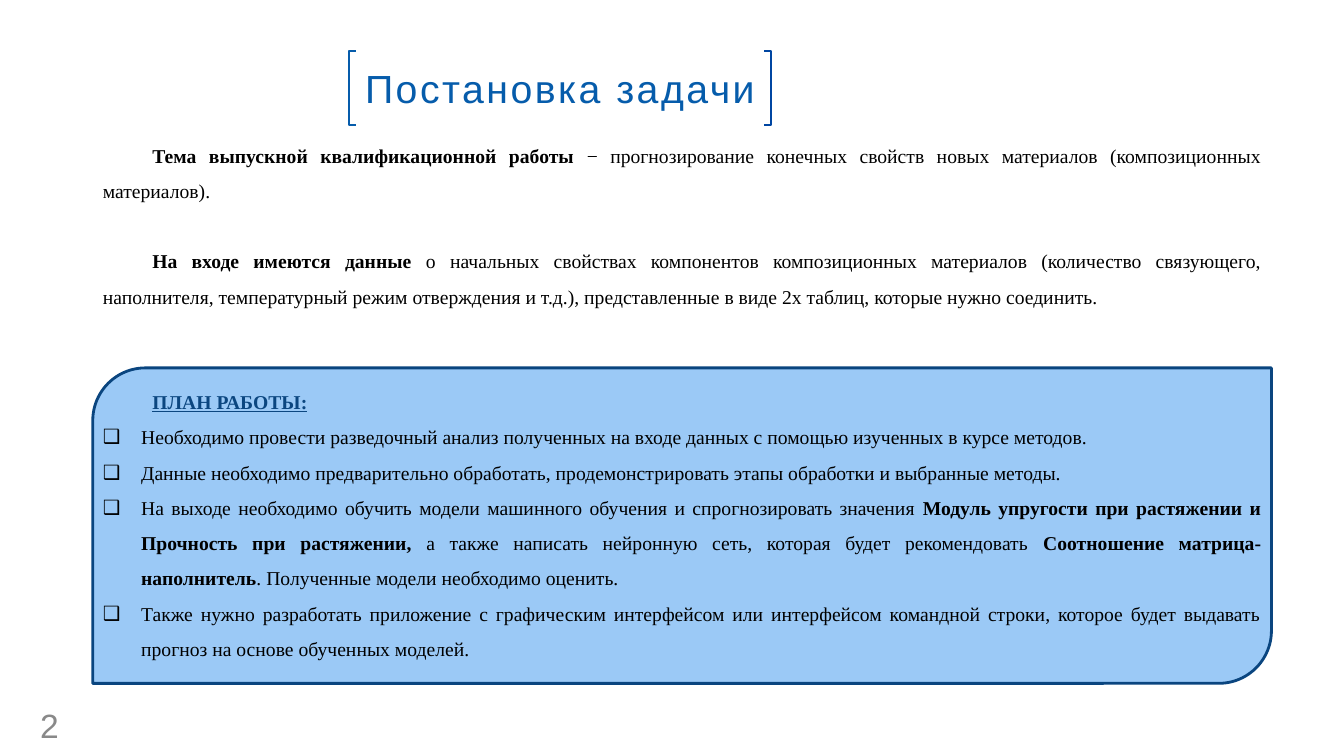
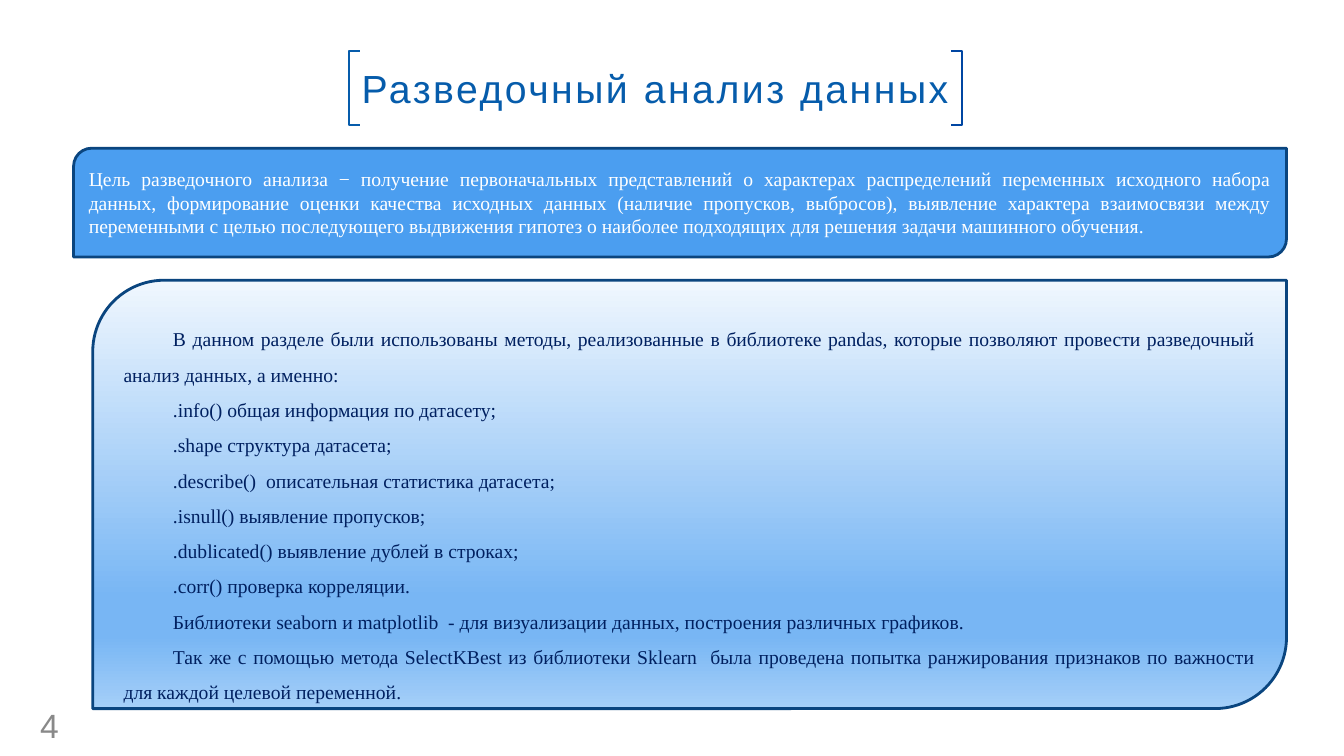
from lxml.etree import SubElement
from pptx import Presentation
from pptx.dml.color import RGBColor
from pptx.enum.shapes import MSO_SHAPE
from pptx.enum.text import MSO_ANCHOR as Anchor, MSO_AUTO_SIZE as AutoSize, PP_ALIGN as Align
from pptx.oxml.ns import qn
from pptx.util import Inches, Pt

WHITE = RGBColor(0xFF, 0xFF, 0xFF)
BLACK = RGBColor(0x00, 0x00, 0x00)
GREY = RGBColor(0x89, 0x89, 0x89)
TITLE_BLUE = RGBColor(0x06, 0x5C, 0xAB)
BRACKET_BLUE = RGBColor(0x00, 0x46, 0xA2)
BORDER_BLUE = RGBColor(0x0A, 0x45, 0x7F)
HEADING_BLUE = RGBColor(0x0B, 0x46, 0x80)
PALE_BLUE = RGBColor(0x9B, 0xC9, 0xF6)
BRIGHT_BLUE = RGBColor(0x4B, 0x9E, 0xF0)
NAVY = RGBColor(0x00, 0x20, 0x60)
GRADIENT = [
    (0, RGBColor(0xF0, 0xF7, 0xFE)),
    (74, RGBColor(0x78, 0xB6, 0xF4)),
    (83, RGBColor(0x78, 0xB6, 0xF4)),
    (100, RGBColor(0xA5, 0xCF, 0xF8)),
]

TITLE_FONT = "Arial"
TEXT_FONT = "Times New Roman"
TITLE_LEFT, TITLE_TOP, TITLE_HEIGHT = 3.46, 0.51, 0.73
FIRST_LINE = 0.49
BULLET_INDENT = 0.38
LINE_GAP = 25
TITLE_AND_BODY, TITLE_ONLY = 1, 5


class Deck:
    def __init__(self):
        self.presentation = Presentation()
        self.presentation.slide_width = Inches(13.33)
        self.presentation.slide_height = Inches(7.5)
        self.slide = None

    def add_slide(self, layout, title, title_width, bracket_depth, number):
        self.slide = self.presentation.slides.add_slide(
            self.presentation.slide_layouts[layout])
        self.title(title, title_width)
        title_right = TITLE_LEFT + title_width
        self.bracket(TITLE_LEFT, TITLE_LEFT + bracket_depth, TITLE_BLUE)
        self.bracket(title_right, title_right - bracket_depth, BRACKET_BLUE)
        self.slide_number(number)

    def place(self, shape, left, top, width, height):
        shape.left, shape.top = Inches(left), Inches(top)
        shape.width, shape.height = Inches(width), Inches(height)

    def run(self, paragraph, text, font, size, color, bold=False, underline=False):
        run = paragraph.add_run()
        run.text = text
        run.font.name = font
        run.font.size = Pt(size)
        run.font.color.rgb = color
        run.font.bold = bold
        run.font.underline = underline
        return run

    def title(self, text, width):
        shape = self.slide.shapes.title
        self.place(shape, TITLE_LEFT, TITLE_TOP, width, TITLE_HEIGHT)
        shape.fill.solid()
        shape.fill.fore_color.rgb = WHITE
        frame = shape.text_frame
        frame.auto_size = AutoSize.NONE
        frame.margin_left = frame.margin_right = 0
        frame.vertical_anchor = Anchor.MIDDLE
        paragraph = frame.paragraphs[0]
        paragraph.alignment = Align.CENTER
        run = self.run(paragraph, text, TITLE_FONT, 28, TITLE_BLUE)
        properties = run._r.get_or_add_rPr()
        properties.set("spc", "180")
        outline = SubElement(properties, qn("a:ln"), w=str(Pt(0.75)))
        fill = SubElement(outline, qn("a:solidFill"))
        SubElement(fill, qn("a:srgbClr"), val=str(TITLE_BLUE))
        properties.insert(0, outline)

    def bracket(self, outer, inner, color):
        bottom = TITLE_TOP + TITLE_HEIGHT
        corners = [(outer, TITLE_TOP), (outer, bottom), (inner, bottom)]
        builder = self.slide.shapes.build_freeform(Inches(inner), Inches(TITLE_TOP))
        builder.add_line_segments(
            [(Inches(x), Inches(y)) for x, y in corners], close=False)
        shape = builder.convert_to_shape()
        shape.shadow.inherit = False
        shape.fill.background()
        shape.line.color.rgb = color
        shape.line.width = Pt(1.3)

    def slide_number(self, number):
        box = self.slide.shapes.add_textbox(
            Inches(0.3), Inches(7.04), Inches(0.62), Inches(0.3))
        frame = box.text_frame
        frame.word_wrap = True
        frame.vertical_anchor = Anchor.MIDDLE
        self.run(frame.paragraphs[0], str(number), TITLE_FONT, 24, GREY)

    def panel(self, left, top, width, height, color=None):
        shape = self.slide.shapes.add_shape(
            MSO_SHAPE.ROUND_2_DIAG_RECTANGLE,
            Inches(left), Inches(top), Inches(width), Inches(height))
        shape.shadow.inherit = False
        shape.line.color.rgb = BORDER_BLUE
        shape.line.width = Pt(2)
        if color is None:
            self.gradient(shape)
        else:
            shape.fill.solid()
            shape.fill.fore_color.rgb = color
        shape.text_frame.vertical_anchor = Anchor.MIDDLE
        return shape.text_frame

    def gradient(self, shape):
        shape.fill.gradient()
        shape.fill.gradient_angle = 270
        stops = shape._element.spPr.find(qn("a:gradFill")).find(qn("a:gsLst"))
        for stop in list(stops):
            stops.remove(stop)
        for position, color in GRADIENT:
            stop = SubElement(stops, qn("a:gs"), pos=str(position * 1000))
            SubElement(stop, qn("a:srgbClr"), val=str(color))

    def body(self, left, top, width, height):
        shape = self.slide.placeholders[1]
        self.place(shape, left, top, width, height)
        self.slide.shapes._spTree.append(shape._element)
        shape.text_frame.auto_size = AutoSize.NONE
        shape.text_frame.vertical_anchor = Anchor.TOP
        return shape.text_frame

    def text(self, frame, *runs, color=BLACK, first_line=FIRST_LINE, spacing=1.5,
             before=0, bullet=False, underline=False):
        paragraph = frame.paragraphs[0]
        if paragraph.runs:
            paragraph = frame.add_paragraph()
        paragraph.alignment = Align.JUSTIFY
        paragraph.line_spacing = spacing
        paragraph.space_before = Pt(before)
        properties = paragraph._p.get_or_add_pPr()
        margin, indent = (BULLET_INDENT, -BULLET_INDENT) if bullet else (0, first_line)
        properties.set("marL", str(Inches(margin)))
        properties.set("indent", str(Inches(indent)))
        if bullet:
            bullet_color = SubElement(properties, qn("a:buClr"))
            SubElement(bullet_color, qn("a:srgbClr"), val=str(color))
            SubElement(properties, qn("a:buChar"), char="❑")
        else:
            SubElement(properties, qn("a:buNone"))
        for text, bold in runs:
            self.run(paragraph, text, TEXT_FONT, 14, color, bold, underline)


def task_slide(deck):
    deck.add_slide(TITLE_AND_BODY, "Постановка задачи", 4.19, 0.07, 2)
    deck.panel(0.92, 3.65, 11.69, 3.13, PALE_BLUE)
    frame = deck.body(0.92, 1.26, 11.69, 5.36)
    deck.text(
        frame,
        ("Тема выпускной квалификационной работы ", True),
        ("− прогнозирование конечных свойств новых материалов "
         "(композиционных материалов).", False))
    deck.text(
        frame,
        ("На входе имеются данные ", True),
        ("о начальных свойствах компонентов композиционных материалов "
         "(количество связующего, наполнителя, температурный режим отверждения и т.д.), "
         "представленные в виде 2х таблиц, которые нужно соединить.", False),
        before=LINE_GAP)
    deck.text(frame, ("ПЛАН РАБОТЫ:", True), color=HEADING_BLUE,
              before=2 * LINE_GAP, underline=True)
    plan = [
        [("Необходимо провести разведочный анализ полученных на входе данных "
          "с помощью изученных в курсе методов.", False)],
        [("Данные необходимо предварительно обработать, продемонстрировать "
          "этапы обработки и выбранные методы.", False)],
        [("На выходе необходимо обучить модели машинного обучения "
          "и спрогнозировать значения ", False),
         ("Модуль упругости при растяжении и Прочность при растяжении,", True),
         (" а также написать нейронную сеть, которая будет рекомендовать ", False),
         ("Соотношение матрица-наполнитель", True),
         (". Полученные модели необходимо оценить.", False)],
        [("Также нужно разработать приложение с графическим интерфейсом или "
          "интерфейсом командной строки, которое будет выдавать прогноз "
          "на основе обученных моделей.", False)],
    ]
    for runs in plan:
        deck.text(frame, *runs, bullet=True)


def analysis_slide(deck):
    deck.add_slide(TITLE_ONLY, "Разведочный анализ данных", 6.08, 0.11, 4)
    goal = deck.panel(0.73, 1.47, 12.03, 1.08, BRIGHT_BLUE)
    deck.text(
        goal,
        ("Цель разведочного анализа − получение первоначальных представлений "
         "о характерах распределений переменных исходного набора данных, "
         "формирование оценки качества исходных данных (наличие пропусков, выбросов), "
         "выявление характера взаимосвязи между переменными с целью последующего "
         "выдвижения гипотез о наиболее подходящих для решения задачи "
         "машинного обучения.", False),
        color=WHITE, first_line=0, spacing=1.0)
    methods = deck.panel(0.92, 2.78, 11.84, 4.25)
    methods.margin_top = Inches(0.35)
    for line in [
        "В данном разделе были использованы методы, реализованные в библиотеке pandas, "
        "которые позволяют провести разведочный анализ данных, а именно:",
        ".info() общая информация по датасету;",
        ".shape структура датасета;",
        ".describe()  описательная статистика датасета;",
        ".isnull() выявление пропусков;",
        ".dublicated() выявление дублей в строках;",
        ".corr() проверка корреляции.",
        "Библиотеки seaborn и matplotlib  - для визуализации данных, "
        "построения различных графиков.",
        "Так же с помощью метода SelectKBest из библиотеки Sklearn  была проведена "
        "попытка ранжирования признаков по важности для каждой целевой переменной.",
    ]:
        deck.text(methods, (line, False), color=NAVY)


def main():
    deck = Deck()
    task_slide(deck)
    analysis_slide(deck)
    deck.presentation.save("out.pptx")


if __name__ == "__main__":
    main()
